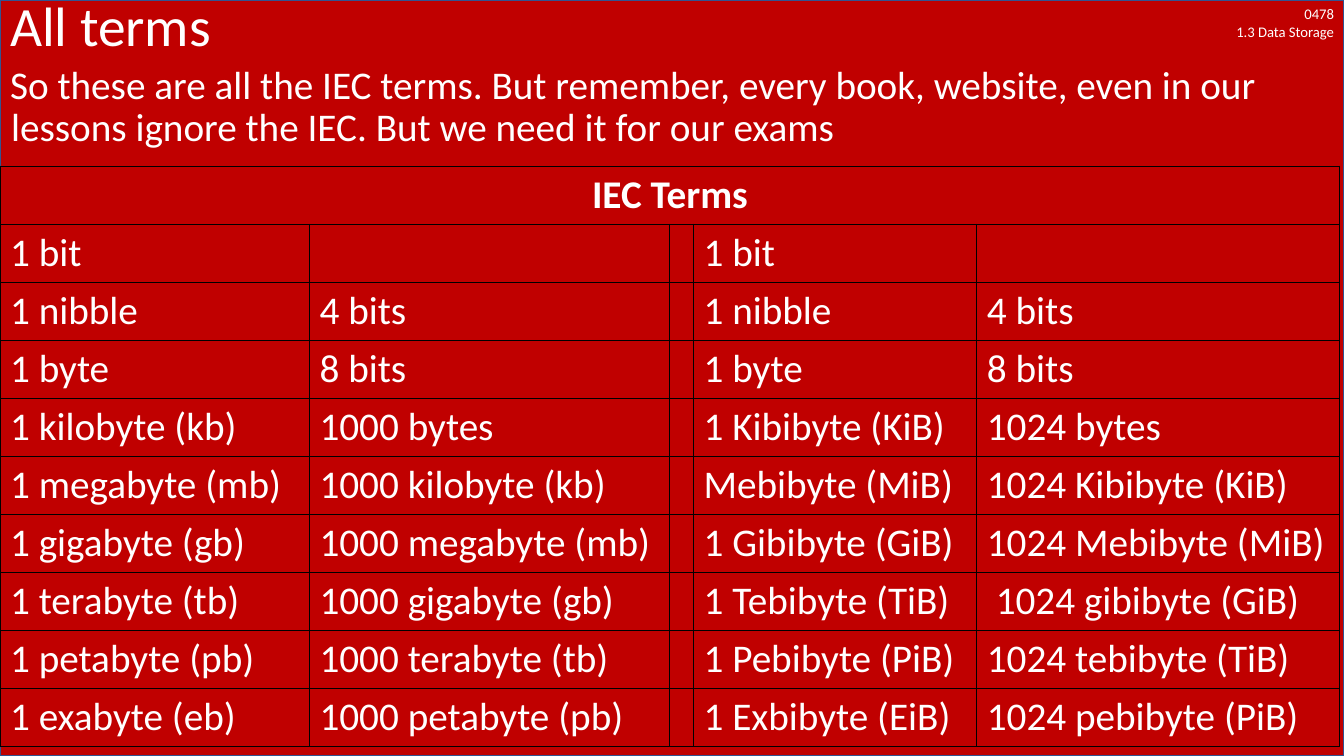
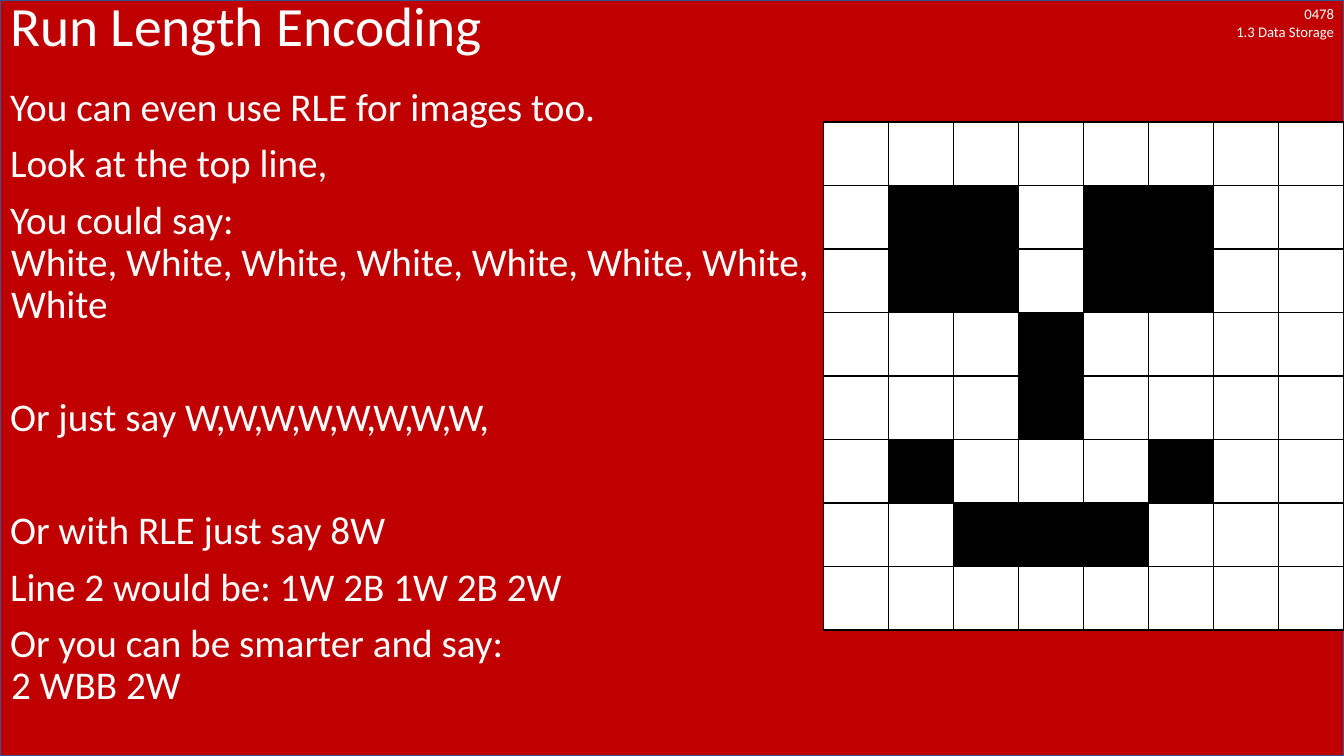
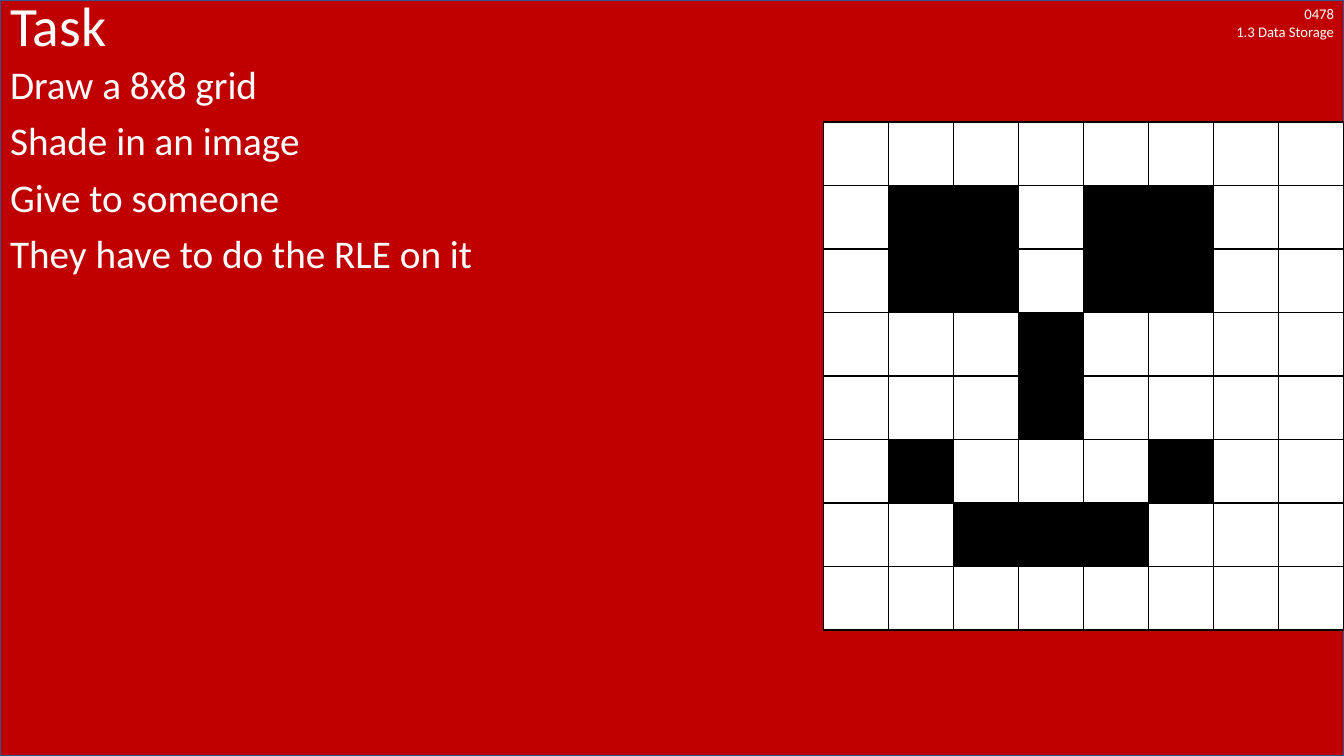
"""Build three data storage lesson slides: IEC terms, run length encoding and a task."""
from lxml import etree
from pptx import Presentation
from pptx.dml.color import RGBColor
from pptx.enum.shapes import MSO_SHAPE
from pptx.enum.text import MSO_ANCHOR, MSO_AUTO_SIZE, PP_ALIGN
from pptx.oxml.ns import qn
from pptx.util import Inches, Pt

RECTANGLE = MSO_SHAPE.RECTANGLE
MIDDLE = MSO_ANCHOR.MIDDLE
NO_FIT = MSO_AUTO_SIZE.NONE
LEFT, CENTER, RIGHT = PP_ALIGN.LEFT, PP_ALIGN.CENTER, PP_ALIGN.RIGHT

RED = RGBColor(0xC0, 0x00, 0x00)
NAVY = RGBColor(0x32, 0x54, 0x91)
WHITE = RGBColor(0xFF, 0xFF, 0xFF)
BLACK = RGBColor(0x00, 0x00, 0x00)
FONT = "Calibri"
TITLE_SIZE, BODY_SIZE, TAG_SIZE = 39.6, 28, 10.5
PARAGRAPH_GAP, SECTION_GAP = 10, 50.4

WIDTH, HEIGHT = Inches(13.33), Inches(7.5)
TITLE_HEIGHT = Inches(0.57)
BODY_TOP = Inches(0.6)
TAG_WIDTH = Inches(2.1)
TERM_COLUMNS = [3.07, 3.57, 0.23, 2.81, 3.6]
TERM_ROW = Inches(0.57)
GRID_WIDTH = Inches(5.16)
GRID_LEFT = WIDTH - GRID_WIDTH
GRID_ROW = Inches(0.63)

TERMS = [
    ("1 bit", "", "", "1 bit", ""),
    ("1 nibble", "4 bits", "", "1 nibble", "4 bits"),
    ("1 byte", "8 bits", "", "1 byte", "8 bits"),
    ("1 kilobyte (kb)", "1000 bytes", "", "1 Kibibyte (KiB)", "1024 bytes"),
    ("1 megabyte (mb)", "1000 kilobyte (kb)", "", "Mebibyte (MiB)", "1024 Kibibyte (KiB)"),
    ("1 gigabyte (gb)", "1000 megabyte (mb)", "", "1 Gibibyte (GiB)", "1024 Mebibyte (MiB)"),
    ("1 terabyte (tb)", "1000 gigabyte (gb)", "", "1 Tebibyte (TiB)", " 1024 gibibyte (GiB)"),
    ("1 petabyte (pb)", "1000 terabyte (tb)", "", "1 Pebibyte (PiB)", "1024 tebibyte (TiB)"),
    ("1 exabyte (eb)", "1000 petabyte (pb)", "", "1 Exbibyte (EiB)", "1024 pebibyte (PiB)"),
]
FACE = [
    "WWWWWWWW",
    "WBBWBBWW",
    "WBBWBBWW",
    "WWWBWWWW",
    "WWWBWWWW",
    "WBWWWBWW",
    "WWBBBWWW",
    "WWWWWWWW",
]
PAGES = [
    ("All terms", [
        ("So these are all the IEC terms. But remember, every book, website, even in our "
         "lessons ignore the IEC. But we need it for our exams", 0),
    ]),
    ("Run Length Encoding", [
        ("You can even use RLE for images too.", 0),
        ("Look at the top line,", PARAGRAPH_GAP),
        ("You could say: \nWhite, White, White, White, White, White, White, White", PARAGRAPH_GAP),
        ("Or just say W,W,W,W,W,W,W,W,", SECTION_GAP),
        ("Or with RLE just say 8W", SECTION_GAP),
        ("Line 2 would be: 1W 2B 1W 2B 2W", PARAGRAPH_GAP),
        ("Or you can be smarter and say:\n2 WBB 2W", PARAGRAPH_GAP),
    ]),
    ("Task", [
        ("Draw a 8x8 grid", 0),
        ("Shade in an image", PARAGRAPH_GAP),
        ("Give to someone", PARAGRAPH_GAP),
        ("They have to do the RLE on it", PARAGRAPH_GAP),
    ]),
]


def write(para, text, size, align=LEFT, bold=False):
    """Fill a paragraph with white runs, one for each line of the text."""
    para.alignment = align
    for number, line in enumerate(text.split("\n")):
        if number:
            para.add_line_break()
        span = para.add_run()
        span.text = line
        span.font.name = FONT
        span.font.size = Pt(size)
        span.font.bold = bold
        span.font.color.rgb = WHITE


def style_cell(cell, color):
    """Give a cell thin black borders and a plain fill."""
    properties = cell._tc.get_or_add_tcPr()
    for side in ("a:lnL", "a:lnR", "a:lnT", "a:lnB"):
        border = etree.SubElement(properties, qn(side), w=str(Pt(1)))
        fill = etree.SubElement(border, qn("a:solidFill"))
        etree.SubElement(fill, qn("a:srgbClr"), val=str(BLACK))
    cell.fill.solid()
    cell.fill.fore_color.rgb = color


deck = Presentation()
deck.slide_width, deck.slide_height = WIDTH, HEIGHT
layout = deck.slide_layouts[1]
for holder in list(layout.placeholders):
    kind = holder.placeholder_format.idx
    if kind > 1:
        holder.element.getparent().remove(holder.element)
        continue
    holder.left, holder.width = 0, WIDTH
    holder.top = BODY_TOP if kind else 0
    holder.height = HEIGHT - BODY_TOP if kind else TITLE_HEIGHT

pages = [deck.slides.add_slide(layout) for _ in PAGES]

backdrop = pages[0].shapes.add_shape(RECTANGLE, 0, 0, WIDTH, HEIGHT)
backdrop.shadow.inherit = False
backdrop.fill.solid()
backdrop.fill.fore_color.rgb = RED
backdrop.line.color.rgb = NAVY
backdrop.line.width = Pt(1)
tag = pages[0].shapes.add_textbox(WIDTH - TAG_WIDTH, 0, TAG_WIDTH, Inches(0.45))
tag.text_frame.word_wrap = True
write(tag.text_frame.paragraphs[0], "0478\n1.3 Data Storage", TAG_SIZE, RIGHT)
first_holder = layout.shapes[0].element
for shared in (backdrop, tag):
    first_holder.addprevious(shared.element)

for page, (heading, lines) in zip(pages, PAGES):
    title = page.shapes.title.text_frame
    title.auto_size = NO_FIT
    title.vertical_anchor = MIDDLE
    title.paragraphs[0].line_spacing = 0.9
    write(title.paragraphs[0], heading, TITLE_SIZE)

    body = page.placeholders[1].text_frame
    body.auto_size = NO_FIT
    for number, (text, gap) in enumerate(lines):
        para = body.add_paragraph() if number else body.paragraphs[0]
        properties = para._p.get_or_add_pPr()
        properties.set("marL", str(Inches(0.01)))
        properties.set("indent", str(-Inches(0.01)))
        etree.SubElement(properties, qn("a:buNone"))
        para.line_spacing = 0.9
        para.space_before = Pt(gap)
        write(para, text, BODY_SIZE)

terms_page, encoding_page, task_page = pages
encoding_body = encoding_page.placeholders[1]
encoding_body.left, encoding_body.top = 0, Inches(0.82)
encoding_body.width, encoding_body.height = GRID_LEFT, HEIGHT - Inches(0.82)

row_count = len(TERMS) + 1
terms = terms_page.shapes.add_table(
    row_count, len(TERM_COLUMNS), 0, Inches(1.65),
    Inches(sum(TERM_COLUMNS)), TERM_ROW * row_count).table
terms.first_row = terms.horz_banding = False
for column, width in zip(terms.columns, TERM_COLUMNS):
    column.width = Inches(width)
for cell in terms.iter_cells():
    style_cell(cell, RED)
terms.cell(0, 0).merge(terms.cell(0, len(TERM_COLUMNS) - 1))
write(terms.cell(0, 0).text_frame.paragraphs[0], "IEC Terms", BODY_SIZE, CENTER, True)
for row, entries in enumerate(TERMS, 1):
    for column, entry in enumerate(entries):
        if entry:
            write(terms.cell(row, column).text_frame.paragraphs[0], entry, BODY_SIZE)

for page in (encoding_page, task_page):
    grid = page.shapes.add_table(
        len(FACE), len(FACE[0]), GRID_LEFT, Inches(1.21),
        GRID_WIDTH, GRID_ROW * len(FACE)).table
    grid.first_row = grid.horz_banding = False
    for cell, pixel in zip(grid.iter_cells(), "".join(FACE)):
        style_cell(cell, BLACK if pixel == "B" else WHITE)

deck.save("out.pptx")
